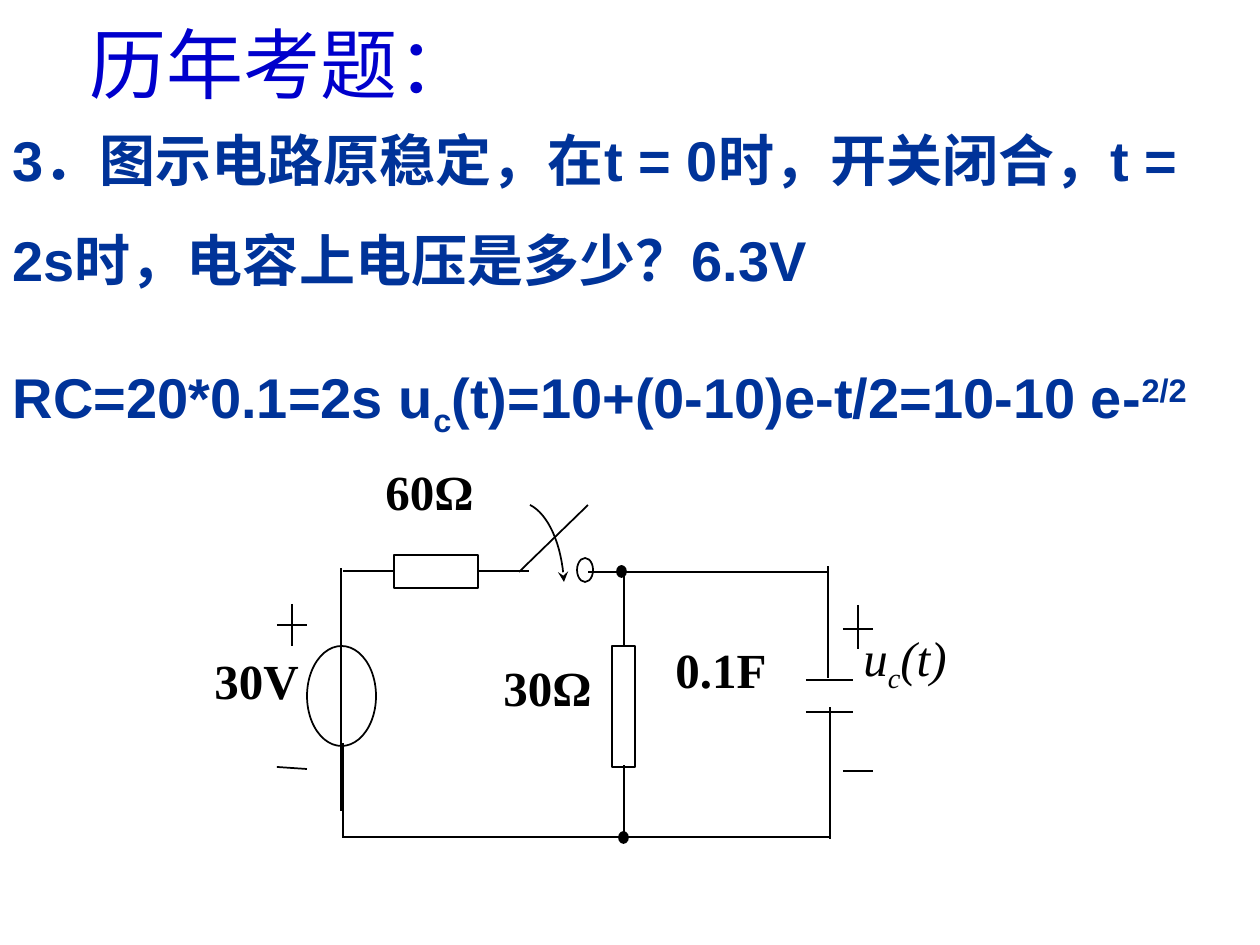
from dataclasses import dataclass

from lxml import etree
from pptx import Presentation
from pptx.dml.color import RGBColor
from pptx.enum.shapes import MSO_CONNECTOR, MSO_SHAPE
from pptx.enum.text import MSO_ANCHOR, MSO_AUTO_SIZE, PP_ALIGN
from pptx.oxml.ns import qn
from pptx.util import Pt

PX = 914400 / 126
LEFT, JUST = PP_ALIGN.LEFT, PP_ALIGN.JUSTIFY
MIDDLE, TOP = MSO_ANCHOR.MIDDLE, MSO_ANCHOR.TOP
FIXED = MSO_AUTO_SIZE.NONE
OVAL, RECT = MSO_SHAPE.OVAL, MSO_SHAPE.RECTANGLE
DOT = MSO_SHAPE.FLOWCHART_CONNECTOR
STRAIGHT = MSO_CONNECTOR.STRAIGHT


@dataclass(frozen=True)
class Theme:
    ink: RGBColor = RGBColor(0, 0, 0)
    navy: RGBColor = RGBColor(0, 0x33, 0x99)
    blue: RGBColor = RGBColor(0, 0, 0xCC)
    sans: str = "Arial"
    serif: str = "Times New Roman"
    head: int = 44
    body: int = 32
    label: int = 28
    line: int = 1


THEME = Theme()
HEAD = {"name": THEME.sans, "size": Pt(THEME.head), "bold": False}
BODY = {"name": THEME.sans, "size": Pt(THEME.body), "bold": True}
LABEL = {"name": THEME.serif, "size": Pt(THEME.label), "bold": True}
MATH = {**LABEL, "bold": False, "italic": True}

WIRES = [
    (606, 262, 653, 262), (606, 230, 653, 230),
    (630, 369, 630, 257), (628, 228, 628, 116),
    (388, 55, 319, 122), (630, 290, 630, 389),
    (141, 361, 141, 118), (143, 388, 143, 293),
    (482, 387, 250, 387), (629, 387, 397, 387), (373, 387, 143, 387),
    (629, 122, 468, 122), (620, 122, 388, 122),
    (424, 195, 424, 122), (424, 389, 424, 315),
    (194, 121, 143, 121), (329, 121, 278, 121),
]
SIGNS = [
    (77, 175, 107, 175), (92, 154, 92, 196), (77, 317, 107, 319),
    (643, 179, 673, 179), (658, 155, 658, 199), (643, 321, 673, 321),
]
PARTS = [
    (OVAL, (377, 108, 16, 24)), (OVAL, (107, 196, 69, 100)),
    (RECT, (194, 105, 84, 33)), (RECT, (412, 196, 23, 121)),
    (DOT, (419, 382, 9, 11)), (DOT, (417, 116, 9, 11)),
]
LABELS = [
    ((2, 194, 139, 106), [("30V", LABEL, 0)]),
    ((463, 183, 208, 106), [("0.1F", LABEL, 0)]),
    ((651, 171, 223, 120), [("u", MATH, 0), ("c", MATH, -25), ("(t)", MATH, 0)]),
    ((173, 5, 185, 106), [("60Ω", LABEL, 0)]),
    ((291, 201, 161, 106), [("30Ω", LABEL, 0)]),
]
SWING = [(364, 132), (362, 94), (348, 64), (330, 55)]


def emu(*values):
    return [round(value * PX) for value in values]


def apply(item, style):
    for key, value in style.items():
        setattr(item, key, value)


def place(shape, box):
    apply(shape, dict(zip(("left", "top", "width", "height"), emu(*box))))


def add_run(para, text, style, color, shift=0):
    run = para.add_run()
    run.text = text
    apply(run.font, style)
    run.font.color.rgb = color
    if shift:
        run._r.get_or_add_rPr().set("baseline", str(shift * 1000))


def ink_line(shape):
    shape.line.color.rgb = THEME.ink
    shape.line.width = Pt(THEME.line)


def draw_task(slide, box):
    task = slide.shapes.title
    place(task, box)
    apply(task.text_frame, {"vertical_anchor": MIDDLE, "auto_size": FIXED,
                            "word_wrap": True})
    para = task.text_frame.paragraphs[0]
    apply(para, {"alignment": LEFT, "line_spacing": 1.5})
    add_run(para, "3．图示电路原稳定，在t = 0时，开关闭合，t = 2s时，电容上电压是多少？6.3V",
            BODY, THEME.navy)
    para.add_line_break()
    etree.SubElement(para._p[-1], qn("a:rPr"), sz=str(THEME.body * 100))
    for text, style, shift in [
        ("RC=20*0.1=2s u", BODY, 0), ("c", BODY, -25),
        ("(t)=10+(0-10)e-t/2=10-10 e-", BODY, 0), ("2/2", BODY, 30),
        (" ", HEAD, 0),
    ]:
        add_run(para, text, style, THEME.navy, shift)


def draw_head(slide, box):
    head = slide.shapes.add_textbox(*emu(*box))
    head.text_frame.word_wrap = False
    add_run(head.text_frame.paragraphs[0], "历年考题：", HEAD, THEME.blue)


def draw_swing(slide, left, top):
    steps = 16
    points = []
    for step in range(steps + 1):
        t = step / steps
        mix = ((1 - t) ** 3, 3 * t * (1 - t) ** 2, 3 * t * t * (1 - t), t ** 3)
        x, y = (sum(m * p[axis] for m, p in zip(mix, SWING)) for axis in (0, 1))
        points.append(emu(left + x, top + y))
    path = slide.shapes.build_freeform(*points[0])
    path.add_line_segments(points[1:], close=False)
    swing = path.convert_to_shape()
    swing.shadow.inherit = False
    swing.fill.background()
    ink_line(swing)
    etree.SubElement(swing.line._get_or_add_ln(), qn("a:headEnd"), type="stealth")


def draw_circuit(slide, left, top):
    for x1, y1, x2, y2 in WIRES + SIGNS:
        wire = slide.shapes.add_connector(
            STRAIGHT, *emu(left + x1, top + y1, left + x2, top + y2))
        ink_line(wire)
        etree.SubElement(wire._element.spPr, qn("a:effectLst"))
    for kind, (x, y, wide, high) in PARTS:
        part = slide.shapes.add_shape(kind, *emu(left + x, top + y, wide, high))
        part.shadow.inherit = False
        ink_line(part)
        if kind == DOT:
            part.fill.solid()
            part.fill.fore_color.rgb = THEME.ink
        else:
            part.fill.background()
    for (x, y, wide, high), runs in LABELS:
        label = slide.shapes.add_textbox(*emu(left + x, top + y, wide, high))
        apply(label.text_frame, {"word_wrap": True, "vertical_anchor": TOP})
        para = label.text_frame.paragraphs[0]
        para.alignment = JUST
        for text, style, shift in runs:
            add_run(para, text, style, THEME.ink, shift)
    draw_swing(slide, left, top)


def main():
    deck = Presentation()
    deck.slide_width, deck.slide_height = emu(1260, 945)
    slide = deck.slides.add_slide(deck.slide_layouts[5])
    draw_task(slide, (0, 234, 1231, 63))
    draw_head(slide, (77, 10, 411, 106))
    draw_circuit(slide, 200, 450)
    deck.save("out.pptx")


if __name__ == "__main__":
    main()
